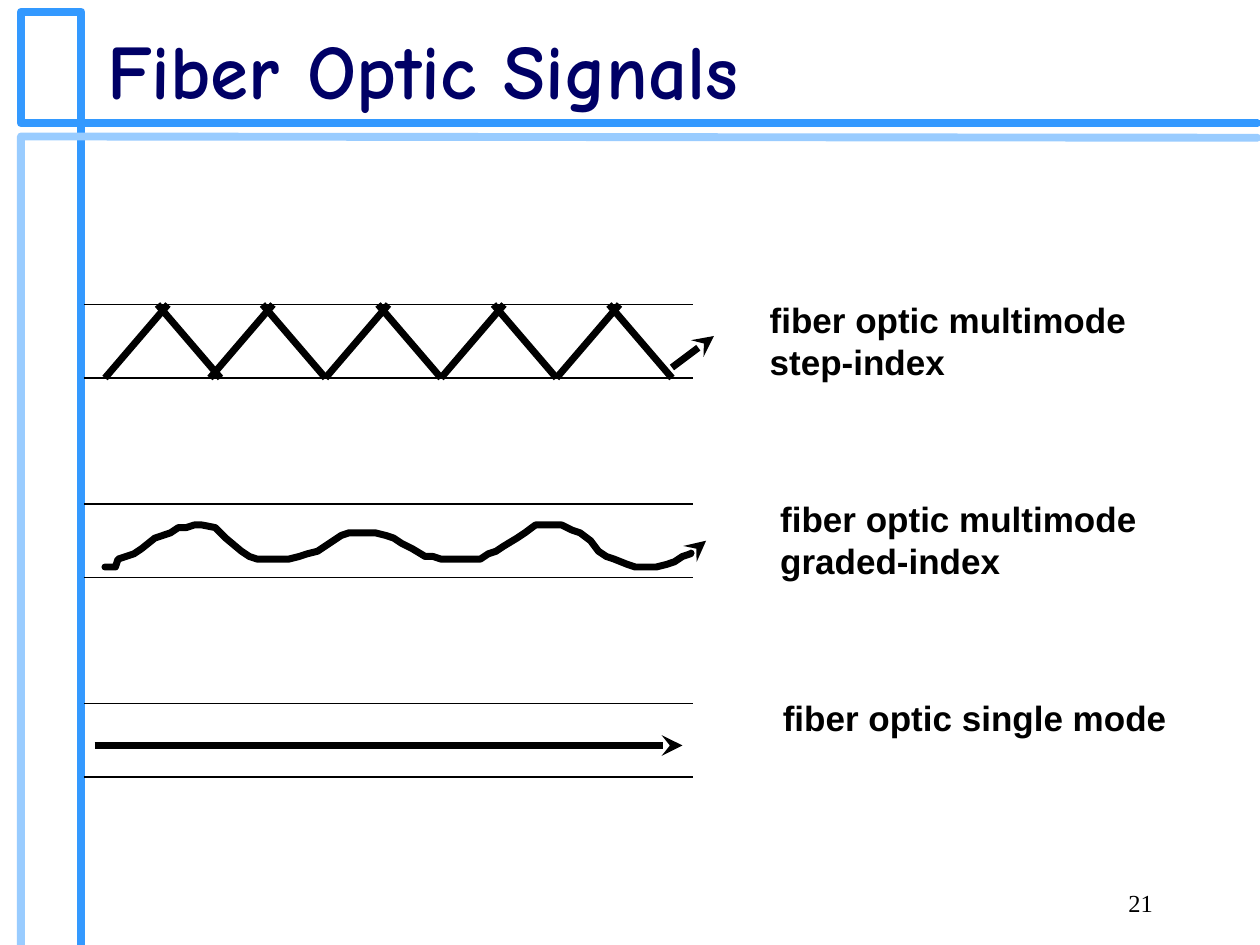
from dataclasses import dataclass

from lxml.etree import SubElement
from pptx import Presentation
from pptx.dml.color import RGBColor
from pptx.enum.shapes import MSO_CONNECTOR
from pptx.enum.text import MSO_ANCHOR, MSO_AUTO_SIZE, PP_ALIGN
from pptx.oxml.ns import qn
from pptx.util import Emu, Pt

PX = 9525  # EMU per px, 96 px to the inch
COLORS = {"frame": "3399FF", "frame_light": "99CCFF", "title": "000066", "ink": "000000"}
Point = tuple[int, int]


@dataclass
class Fiber:
    top: int
    bottom: int
    label: str
    label_left: int
    label_top: int
    label_width: int
    label_height: int


FIBERS = [
    Fiber(232, 288, "fiber optic multimode\nstep-index", 577, 223, 291, 74),
    Fiber(384, 440, "fiber optic multimode\ngraded-index", 585, 374, 291, 74),
    Fiber(536, 592, "fiber optic single mode", 587, 526, 312, 41),
]
FIBER_LEFT, FIBER_RIGHT = 64, 528
PEAK_STARTS = [80, 160, 248, 336, 424]
PEAK_WIDTH, RAY_WIDTH = 88, 48

GRADED_WAVE = [
    (80, 432), (88, 432), (90, 426), (96, 424), (102, 422), (108, 418), (118, 410),
    (124, 408), (130, 406), (136, 402), (142, 402), (148, 400), (154, 400), (164, 402),
    (172, 410), (184, 420), (190, 424), (196, 426), (220, 426), (228, 424), (234, 422),
    (242, 420), (248, 416), (254, 412), (260, 408), (266, 406), (286, 406), (294, 408),
    (300, 410), (306, 414), (314, 418), (324, 424), (330, 424), (336, 426), (366, 426),
    (372, 422), (378, 420), (384, 416), (394, 410), (400, 406), (408, 400), (428, 400),
    (436, 404), (442, 406), (450, 412), (456, 420), (462, 424), (468, 426), (478, 430),
    (484, 432), (500, 432), (508, 430), (514, 428), (520, 424), (526, 422), (532, 416),
    (538, 412),
]


def rgb(name: str) -> RGBColor:
    return RGBColor.from_string(COLORS[name])


def style_line(shape, color: str, width: float, arrow: bool) -> None:
    shape.line.color.rgb = rgb(color)
    shape.line.width = Pt(width)
    if arrow:
        SubElement(shape.line._get_or_add_ln(), qn("a:tailEnd"), type="stealth")


def add_line(s, start: Point, end: Point, width: float = 4, arrow: bool = False) -> None:
    line = s.shapes.add_connector(
        MSO_CONNECTOR.STRAIGHT, *(Emu(v * PX) for v in (*start, *end)))
    style_line(line, "ink", width, arrow)
    SubElement(line._element.spPr, qn("a:effectLst"))


def add_path(s, points: list[Point], color: str, width: float, arrow: bool = False) -> None:
    """Draw an open, unfilled polyline with rounded ends."""
    builder = s.shapes.build_freeform(*points[0], scale=PX)
    builder.add_line_segments(points[1:], close=False)
    sp = builder.convert_to_shape()
    sp.fill.background()
    sp.shadow.inherit = False
    style_line(sp, color, width, arrow)
    sp.line._get_or_add_ln().set("cap", "rnd")


def place(sp, left: int, top: int, width: int, height: int) -> None:
    sp.left, sp.top, sp.width, sp.height = (Emu(v * PX) for v in (left, top, width, height))


def format_text(tf, font: str, size: int, color: str, bold: bool, align: PP_ALIGN) -> None:
    for p in tf.paragraphs:
        p.alignment = align
        p.font.name = font
        p.font.size = Pt(size)
        p.font.bold = bold
        p.font.color.rgb = rgb(color)


def add_text(s, text: str, box: tuple[int, int, int, int], font: str, size: int,
             bold: bool = False, align: PP_ALIGN = PP_ALIGN.LEFT, wrap: bool = False) -> None:
    sp = s.shapes.add_textbox(*(Emu(v * PX) for v in box))
    tf = sp.text_frame
    tf.text = text
    tf.word_wrap = wrap
    tf.auto_size = MSO_AUTO_SIZE.NONE if wrap else MSO_AUTO_SIZE.SHAPE_TO_FIT_TEXT
    format_text(tf, font, size, "ink", bold, align)


def add_title(s, text: str) -> None:
    title = s.shapes.title
    place(title, 72, -8, 816, 120)
    tf = title.text_frame
    tf.text = text
    tf.vertical_anchor = MSO_ANCHOR.MIDDLE
    format_text(tf, "Comic Neue", 44, "title", True, PP_ALIGN.LEFT)


def add_fiber_walls(s, fiber: Fiber) -> None:
    for y in (fiber.top, fiber.bottom):
        add_line(s, (FIBER_LEFT, y), (FIBER_RIGHT, y), width=1)


def add_label(s, fiber: Fiber) -> None:
    box = (fiber.label_left, fiber.label_top, fiber.label_width, fiber.label_height)
    add_text(s, fiber.label, box, "Arial", 20, bold=True)


def add_step_rays(s, fiber: Fiber) -> None:
    for left in PEAK_STARTS:
        right = left + PEAK_WIDTH
        add_line(s, (left, fiber.bottom), (left + RAY_WIDTH, fiber.top))
        add_line(s, (right, fiber.bottom), (right - RAY_WIDTH, fiber.top))
    add_line(s, (512, 280), (544, 256), arrow=True)


def main() -> None:
    prs = Presentation()
    prs.slide_width, prs.slide_height = Emu(960 * PX), Emu(720 * PX)
    s = prs.slides.add_slide(prs.slide_layouts[5])

    add_path(s, [(62, 720), (62, 9), (16, 9), (16, 94), (958, 94)], "frame", 4.5)
    add_path(s, [(16, 720), (16, 104), (958, 105)], "frame_light", 4.5)
    add_title(s, "Fiber Optic Signals")
    add_text(s, "21", (688, 672, 200, 48), "Times New Roman", 14,
             align=PP_ALIGN.RIGHT, wrap=True)

    for fiber in FIBERS:
        add_fiber_walls(s, fiber)
    add_step_rays(s, FIBERS[0])
    add_path(s, GRADED_WAVE, "ink", 4, arrow=True)
    add_line(s, (72, 568), (520, 568), arrow=True)
    for fiber in FIBERS:
        add_label(s, fiber)

    prs.save("out.pptx")


if __name__ == "__main__":
    main()
